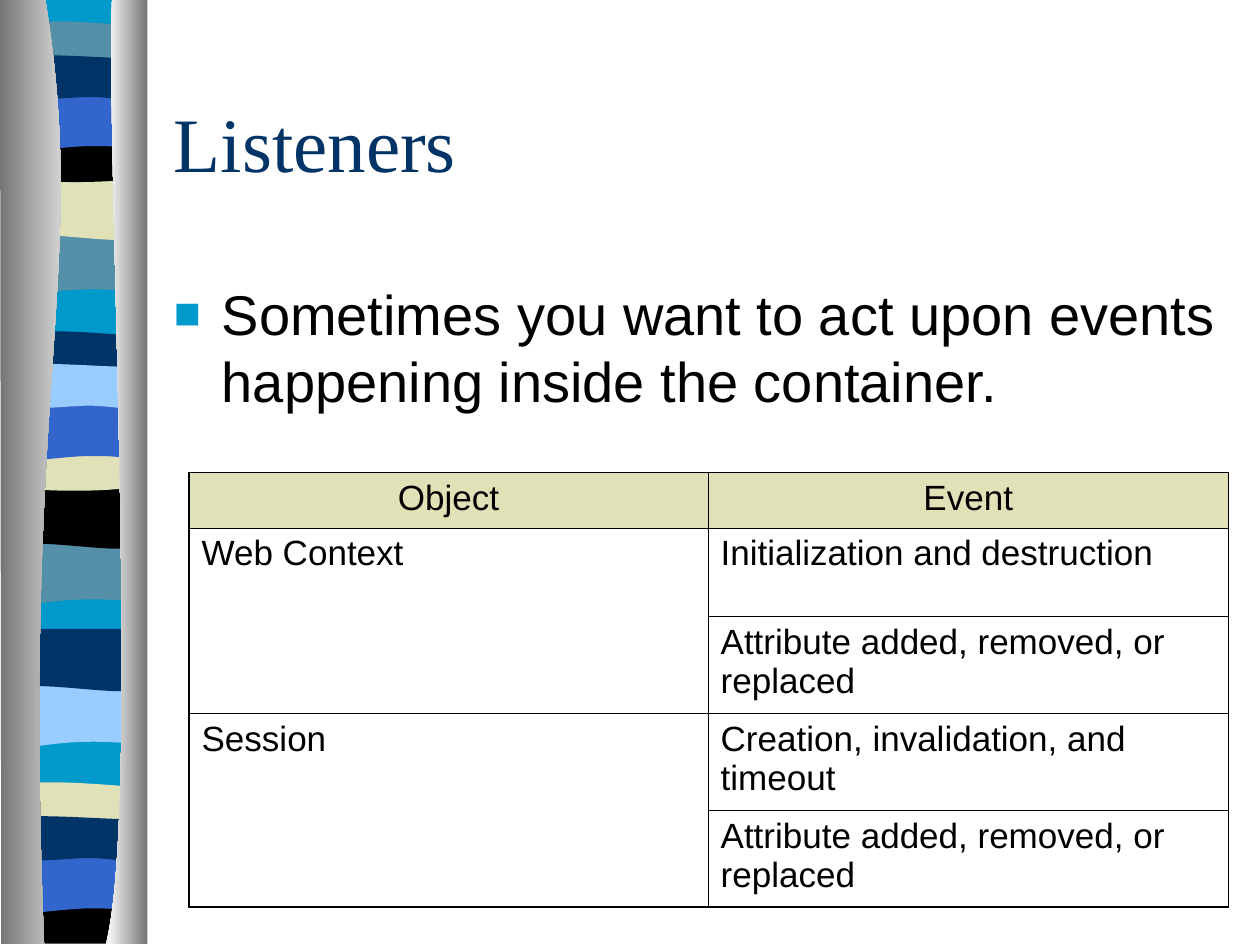
from dataclasses import dataclass

from lxml.etree import SubElement
from pptx import Presentation
from pptx.dml.color import RGBColor
from pptx.enum.text import MSO_ANCHOR, MSO_AUTO_SIZE, PP_ALIGN
from pptx.oxml.ns import qn
from pptx.util import Pt

EMU_PER_PX = 9144  # 100 px to the inch


@dataclass(frozen=True)
class Theme:
    navy: str = "003366"
    blue: str = "3366CC"
    cyan: str = "0099CC"
    sky: str = "99CCFF"
    slate: str = "5490A8"
    sand: str = "E1E1B7"
    black: str = "000000"
    white: str = "FFFFFF"
    grey: str = "757575"
    title_font: str = "Times New Roman"
    body_font: str = "Arial"
    title_size: int = 44
    body_size: int = 32
    table_size: int = 20
    outer_line: float = 1.08
    inner_line: float = 0.45


THEME = Theme()

# Outlines are lists of steps: one point is a line, three points are a Bezier curve.
BACKDROP = [[(108, 0)], [(108, 747)], [(0, 747)], [(0, 0)]]
DIP = [[(108, 0)], [(108, 47)], [(33, 39), (18, 55), (0, 47)], [(0, 0)]]
SWELL = [[(108, 0)], [(108, 47)], [(90, 55), (33, 41), (0, 47)], [(0, 0)]]
LENS = [[(108, 5)], [(108, 29)], [(90, 33), (18, 33), (0, 29)], [(0, 5)],
        [(6, 0), (23, 1), (41, 1)], [(59, 1), (94, 4), (108, 5)]]
BOWL = [[(108, 0)], [(108, 32)], [(90, 38), (18, 38), (0, 32)], [(0, 0)],
        [(66, 5), (85, 0), (108, 0)]]
FOOT = [[(108, 0)], [(108, 37)], [(0, 37)], [(0, 0)], [(66, 5), (85, 0), (108, 0)]]
ARCH = [[(108, 0)], [(108, 47)], [(91, 42), (84, 42), (66, 42)],
        [(48, 42), (16, 47), (0, 47)], [(0, 0)]]
CREST = [[(108, 5)], [(108, 36)], [(101, 41), (84, 36), (66, 36)],
         [(48, 36), (11, 41), (0, 36)], [(0, 5)], [(15, 0), (73, 5), (91, 5)],
         [(109, 5), (104, 5), (108, 5)]]
LEFT_COLUMN = [[(36, 0)], [(71, 216), (17, 296), (35, 749)], [(1, 749)], [(0, 0)]]
RIGHT_COLUMN = [[(89, 0)], [(84, 125), (112, 646), (84, 749)], [(117, 749)], [(117, 0)]]

RIBBON_BANDS = [  # outline, left, top, colour, from back to front
    (BACKDROP, 6, 0, THEME.cyan),
    (DIP, 6, 185, THEME.slate), (SWELL, 6, 141, THEME.sand), (LENS, 6, 16, THEME.slate),
    (BOWL, 6, 108, THEME.black), (ARCH, 6, 74, THEME.blue), (CREST, 6, 41, THEME.navy),
    (DIP, 5, 431, THEME.slate), (SWELL, 5, 386, THEME.black), (LENS, 5, 262, THEME.navy),
    (BOWL, 5, 353, THEME.sand), (ARCH, 5, 320, THEME.blue), (CREST, 5, 286, THEME.sky),
    (DIP, 6, 544, THEME.sky), (SWELL, 6, 499, THEME.navy), (LENS, 5, 620, THEME.sand),
    (FOOT, 5, 712, THEME.black), (ARCH, 5, 679, THEME.blue), (CREST, 5, 645, THEME.navy),
]
EVENT_ROWS = [
    ("Object", "Event"),
    ("Web Context", "Initialization and destruction"),
    ("", "Attribute added, removed, or replaced"),
    ("Session", "Creation, invalidation, and timeout"),
    ("", "Attribute added, removed, or replaced"),
]


def px(length):
    return round(length * EMU_PER_PX)


def color(code):
    return RGBColor.from_string(code)


def bend(shape, steps):
    """Join the three line segments of each curve step into one Bezier segment."""
    segments = iter(shape._element.xpath(".//a:lnTo"))
    for step in steps:
        curve = next(segments)
        if len(step) == 1:
            continue
        curve.tag = qn("a:cubicBezTo")
        for _ in step[1:]:
            segment = next(segments)
            curve.append(segment[0])
            segment.getparent().remove(segment)


class SlideBuilder:
    """Draws elements on one slide in one theme."""

    def __init__(self, slide, theme):
        self.slide = slide
        self.theme = theme

    def place(self, shape, left, top, width, height):
        shape.left, shape.top = px(left), px(top)
        shape.width, shape.height = px(width), px(height)

    def format_runs(self, para, font, size, code):
        for span in para.runs:
            span.font.name = font
            span.font.size = Pt(size)
            span.font.color.rgb = color(code)

    def outline(self, steps, left, top, *codes):
        """Fill an outline with one colour, or with a gradient from left to right."""
        points = [(px(left + x), px(top + y)) for step in steps for x, y in step]
        builder = self.slide.shapes.build_freeform(*points[0])
        builder.add_line_segments(points[1:])
        shape = builder.convert_to_shape()
        bend(shape, steps[1:])
        shape.shadow.inherit = False
        shape.line.fill.background()
        if len(codes) == 1:
            shape.fill.solid()
            shape.fill.fore_color.rgb = color(codes[0])
            return
        shape.fill.gradient()
        shape.fill.gradient_angle = 0
        for stop, code in zip(shape.fill.gradient_stops, codes):
            stop.color.rgb = color(code)

    def title(self, text, *frame):
        title = self.slide.shapes.title
        self.place(title, *frame)
        title.text_frame.text = text
        title.text_frame.vertical_anchor = MSO_ANCHOR.MIDDLE
        title.text_frame.auto_size = MSO_AUTO_SIZE.NONE
        para = title.text_frame.paragraphs[0]
        para.alignment = PP_ALIGN.LEFT
        self.format_runs(para, self.theme.title_font, self.theme.title_size, self.theme.navy)

    def bullet(self, text, *frame):
        body = self.slide.placeholders[1]
        self.place(body, *frame)
        body.text_frame.text = text
        body.text_frame.auto_size = MSO_AUTO_SIZE.NONE
        para = body.text_frame.paragraphs[0]
        para.space_before = Pt(8)
        self.format_runs(para, self.theme.body_font, self.theme.body_size, self.theme.black)
        properties = para._p.get_or_add_pPr()
        properties.set("marL", str(px(38)))
        properties.set("indent", str(-px(38)))
        SubElement(SubElement(properties, qn("a:buClr")), qn("a:srgbClr"), val=self.theme.cyan)
        SubElement(properties, qn("a:buSzPct"), val="80000")
        SubElement(properties, qn("a:buFont"), typeface=self.theme.body_font)
        SubElement(properties, qn("a:buChar"), char="■")

    def cell_borders(self, cell, outer_sides):
        properties = cell._tc.get_or_add_tcPr()
        for side, outer in outer_sides.items():
            width = self.theme.outer_line if outer else self.theme.inner_line
            line = SubElement(properties, qn(f"a:ln{side}"), w=str(Pt(width)))
            SubElement(SubElement(line, qn("a:solidFill")), qn("a:srgbClr"), val=self.theme.black)

    def table(self, rows, left, top, widths, heights, merges):
        """Draw a table; each merge is a column with its first and last row."""
        table = self.slide.shapes.add_table(
            len(heights), len(widths), px(left), px(top),
            px(sum(widths)), px(sum(heights))).table
        table.first_row = table.horz_banding = False
        for column, width in zip(table.columns, widths):
            column.width = px(width)
        for row, height in zip(table.rows, heights):
            row.height = px(height)
        for column, first, last in merges:
            table.cell(first, column).merge(table.cell(last, column))
        for r, texts in enumerate(rows):
            for c, text in enumerate(texts):
                cell = table.cell(r, c)
                self.cell_borders(cell, {
                    "L": c == 0, "R": c == len(widths) - 1,
                    "T": r == 0, "B": r + cell.span_height == len(rows)})
                cell.fill.background()
                if r == 0:
                    cell.fill.solid()
                    cell.fill.fore_color.rgb = color(self.theme.sand)
                if not text:
                    continue
                cell.text_frame.text = text
                para = cell.text_frame.paragraphs[0]
                para.alignment = PP_ALIGN.CENTER if r == 0 else PP_ALIGN.LEFT
                para.space_before = Pt(5)
                self.format_runs(para, self.theme.body_font, self.theme.table_size,
                                 self.theme.black)


def main():
    deck = Presentation()
    deck.slide_width, deck.slide_height = px(1000), px(750)
    page = SlideBuilder(deck.slides.add_slide(deck.slide_layouts[1]), THEME)
    for band in RIBBON_BANDS:
        page.outline(*band)
    page.outline(LEFT_COLUMN, 0, 0, THEME.grey, THEME.white)
    page.outline(RIGHT_COLUMN, 0, 0, THEME.white, THEME.grey)
    page.title("Listeners", 128, 50, 850, 125)
    page.bullet("Sometimes you want to act upon events happening inside the container.",
                128, 217, 850, 450)
    page.table(EVENT_ROWS, 150, 375, [412, 413], [44, 70, 77, 77, 77],
               merges=[(0, 1, 2), (0, 3, 4)])
    deck.save("out.pptx")


if __name__ == "__main__":
    main()
